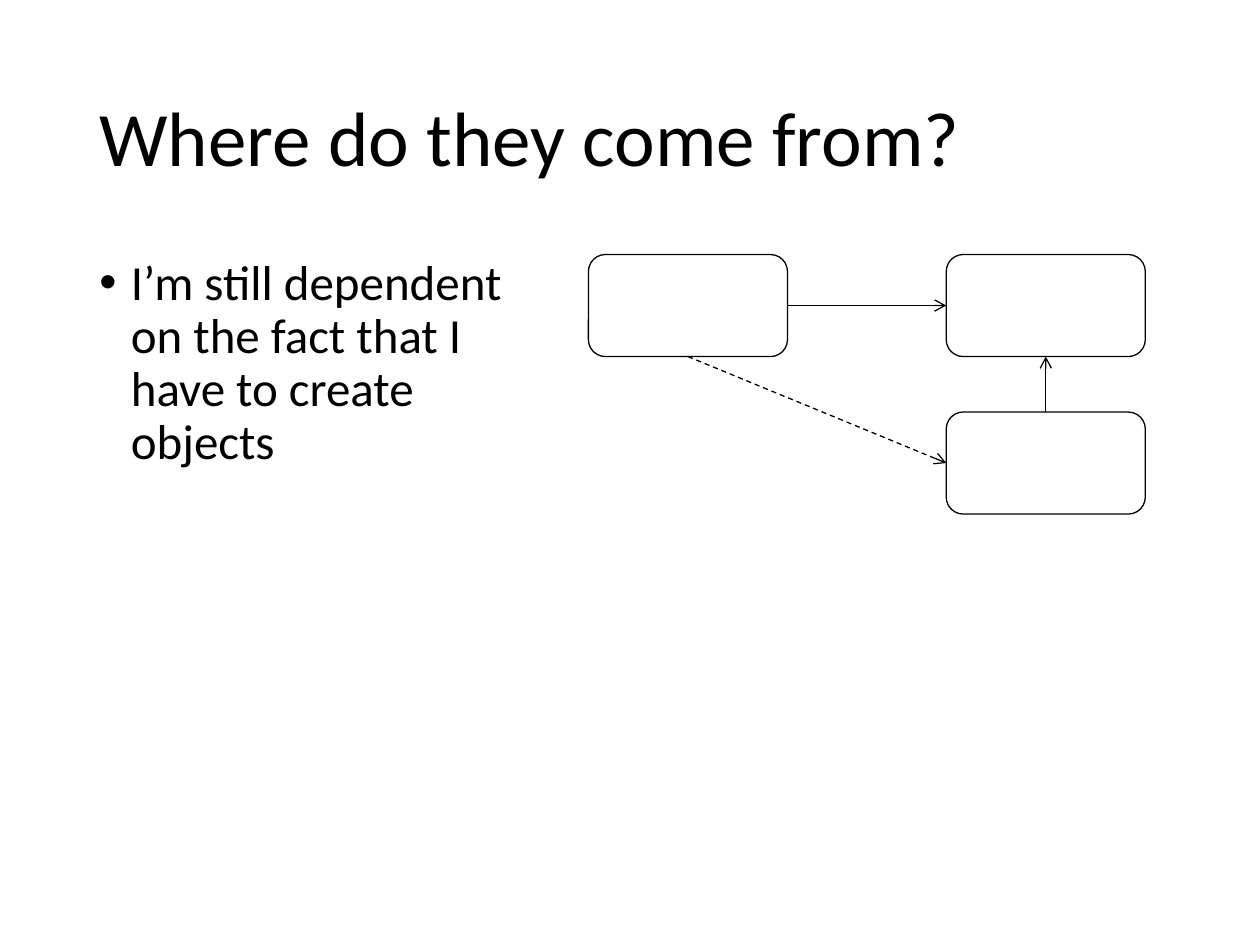
from pptx import Presentation
from pptx.dml.color import RGBColor
from pptx.enum.dml import MSO_LINE
from pptx.enum.shapes import MSO_CONNECTOR, MSO_SHAPE
from pptx.enum.text import MSO_ANCHOR
from pptx.oxml.ns import qn
from pptx.util import Inches, Pt
from lxml.etree import SubElement

# Content
TITLE = "Where do they come from?"
BULLET = "I’m still dependent on the fact that I have to create objects"
# Box name: column, row
BOXES = {"user": (0, 0), "service": (1, 0), "implementation": (1, 1)}
# From box, side, to box, side, dash style
ARROWS = [
    ("user", "right", "service", "left", MSO_LINE.SOLID),
    ("implementation", "top", "service", "bottom", MSO_LINE.SOLID),
    ("user", "bottom", "implementation", "left", MSO_LINE.DASH),
]

# Theme and layout, lengths in inches
THEME = {"font": "Calibri", "ink": RGBColor(0, 0, 0), "title": Pt(44),
         "body": Pt(28), "line": Pt(0.75)}
LEFT = 0.69
BULLET_INDENT = 0.25
BOX_WIDTH, BOX_HEIGHT = 1.58, 0.81
GRID_LEFT, GRID_TOP = 4.67, 2.02
COLUMN_STEP, ROW_STEP = 2.84, 1.25
SIDES = {"top": 0, "left": 1, "bottom": 2, "right": 3}


def add_text(slide, position, text, size, anchor, bullet=False):
    text_box = slide.shapes.add_textbox(*map(Inches, position))
    frame = text_box.text_frame
    frame.word_wrap = True
    frame.vertical_anchor = anchor
    paragraph = frame.paragraphs[0]
    paragraph.text = text
    paragraph.line_spacing = 0.9
    if bullet:
        properties = paragraph._p.get_or_add_pPr()
        properties.set("marL", str(Inches(BULLET_INDENT)))
        properties.set("indent", str(-Inches(BULLET_INDENT)))
        SubElement(properties, qn("a:buFont"), typeface="Arial")
        SubElement(properties, qn("a:buChar"), char="•")
    for name, value in {"name": THEME["font"], "size": size}.items():
        setattr(paragraph.font, name, value)
    paragraph.font.color.rgb = THEME["ink"]


def style_line(line, dash=MSO_LINE.SOLID):
    line.color.rgb = THEME["ink"]
    for name, value in {"width": THEME["line"], "dash_style": dash}.items():
        setattr(line, name, value)


def add_box(slide, column, row):
    position = (GRID_LEFT + column * COLUMN_STEP, GRID_TOP + row * ROW_STEP,
                BOX_WIDTH, BOX_HEIGHT)
    shape = slide.shapes.add_shape(MSO_SHAPE.ROUNDED_RECTANGLE, *map(Inches, position))
    shape.shadow.inherit = False
    shape.fill.background()
    style_line(shape.line)
    return shape


def add_arrow(slide, start, start_side, end, end_side, dash):
    connector = slide.shapes.add_connector(MSO_CONNECTOR.STRAIGHT, 0, 0, 0, 0)
    connector.begin_connect(start, SIDES[start_side])
    connector.end_connect(end, SIDES[end_side])
    style_line(connector.line, dash)
    SubElement(connector.line._get_or_add_ln(), qn("a:tailEnd"), type="arrow")
    SubElement(connector._element.spPr, qn("a:effectLst"))


def main():
    presentation = Presentation()
    presentation.slide_width, presentation.slide_height = Inches(10), Inches(7.5)
    slide = presentation.slides.add_slide(presentation.slide_layouts[6])

    # Title and bullet
    add_text(slide, (LEFT, 0.4, 8.62, 1.45), TITLE, THEME["title"], MSO_ANCHOR.MIDDLE)
    add_text(slide, (LEFT, 2, 3.45, 4.76), BULLET, THEME["body"], MSO_ANCHOR.TOP, bullet=True)

    # Dependency diagram
    boxes = {name: add_box(slide, *cell) for name, cell in BOXES.items()}
    for start, start_side, end, end_side, dash in ARROWS:
        add_arrow(slide, boxes[start], start_side, boxes[end], end_side, dash)

    presentation.save("out.pptx")


if __name__ == "__main__":
    main()
